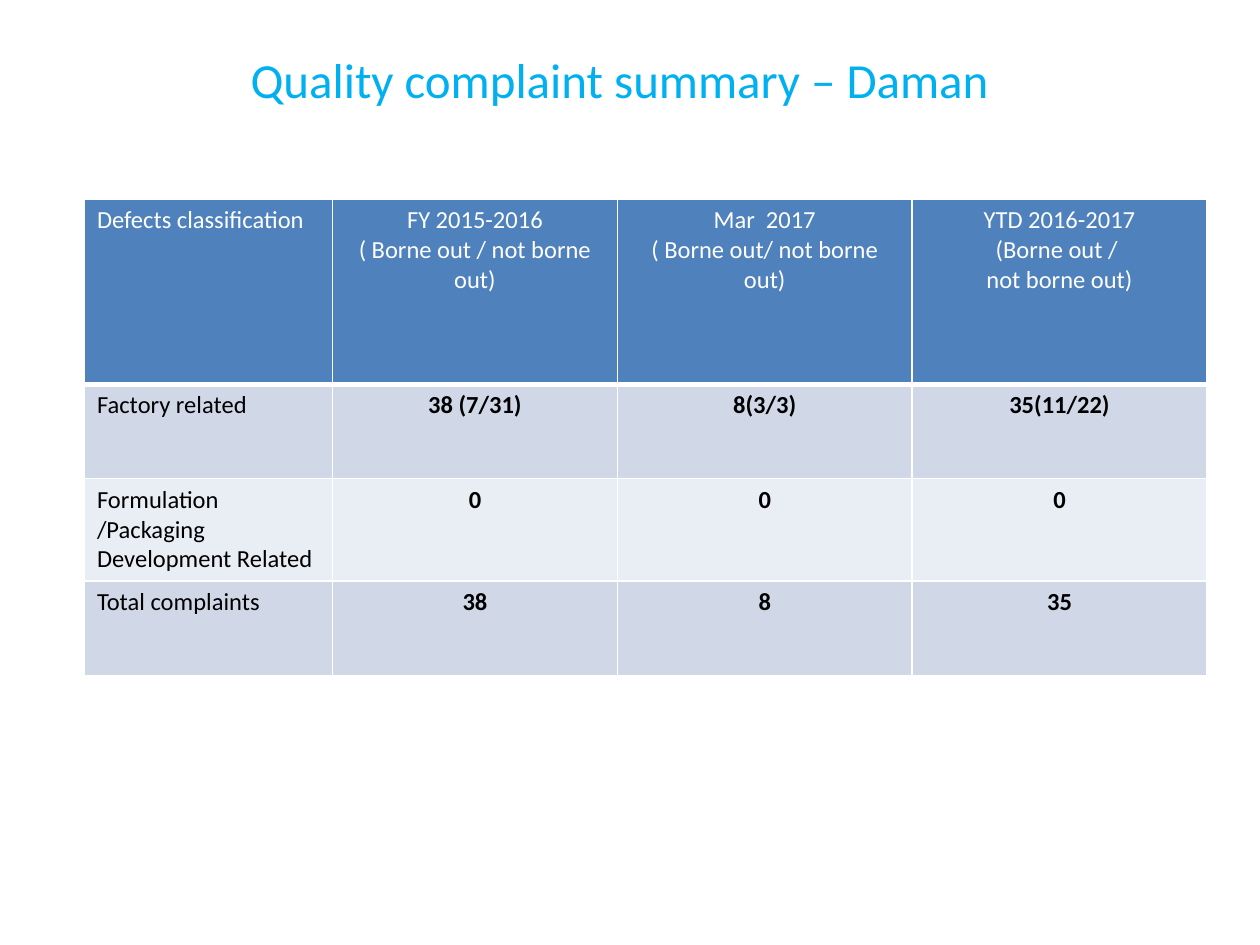
from lxml import etree
from pptx import Presentation, util as u
from pptx.dml.color import RGBColor
from pptx.enum import text
from pptx.oxml.ns import qn

FONT = "Calibri"
WHITE, BLACK, SKY, BLUE = "FFFFFF", "000000", "00B0F0", "4F81BD"
BANDS = ("D0D8E8", "E9EDF4")
WIDTHS = (1.97, 2.26, 2.34, 2.34)
HEIGHTS = (1.47, 0.75, 0.75, 0.75)
ROWS = (
    ("Defects classification",
     "FY 2015-2016\n( Borne out / not borne out)",
     "Mar  2017\n( Borne out/ not borne out)",
     "YTD 2016-2017\n(Borne out / \nnot borne out)"),
    ("Factory related", "38 (7/31)", "8(3/3)", "35(11/22)"),
    ("Formulation /Packaging \nDevelopment Related", "0", "0", "0"),
    ("Total complaints", "38", "8", "35"),
)


def paint(target, color):
    """Give a fill a solid colour."""
    target.solid()
    target.fore_color.rgb = RGBColor.from_string(color)


def write(frame, words, size, color, align, bold=False):
    """Write one paragraph for each line of words."""
    for i, line in enumerate(words.split("\n")):
        para = frame.add_paragraph() if i else frame.paragraphs[0]
        para.alignment = align
        run = para.add_run()
        run.text = line
        run.font.name = FONT
        run.font.size = u.Pt(size)
        run.font.bold = bold
        paint(run.font.fill, color)


def border(cell, base):
    """Draw white cell borders with the given bottom width."""
    props = cell._tc.get_or_add_tcPr()
    for i, side in enumerate("LRTB"):
        width = base if side == "B" else 1
        line = etree.Element(qn("a:ln" + side), w=str(u.Pt(width)))
        fill = etree.SubElement(line, qn("a:solidFill"))
        etree.SubElement(fill, qn("a:srgbClr"), val=WHITE)
        props.insert(i, line)


def add_title(slide, words):
    """Place and format the slide title."""
    title = slide.shapes.title
    title.left, title.top = u.Inches(0.5), u.Inches(0.25)
    title.width, title.height = u.Inches(8.92), u.Inches(0.75)
    title.text_frame.vertical_anchor = text.MSO_ANCHOR.MIDDLE
    write(title.text_frame, words, 28, SKY, text.PP_ALIGN.CENTER)


def add_grid(slide):
    """Add the table of complaints."""
    grid = slide.shapes.add_table(
        len(ROWS), len(WIDTHS), u.Inches(0.67), u.Inches(1.58),
        u.Inches(sum(WIDTHS)), u.Inches(sum(HEIGHTS))).table
    for col, width in zip(grid.columns, WIDTHS):
        col.width = u.Inches(width)
    for r, (row, height) in enumerate(zip(ROWS, HEIGHTS)):
        grid.rows[r].height = u.Inches(height)
        for c, words in enumerate(row):
            cell = grid.cell(r, c)
            paint(cell.fill, BANDS[(r - 1) % 2] if r else BLUE)
            border(cell, 1 if r else 3)
            align = text.PP_ALIGN.CENTER if c else text.PP_ALIGN.LEFT
            write(cell.text_frame, words, 14, BLACK if r else WHITE,
                  align, bool(r and c))


def main():
    """Build and save the slide."""
    deck = Presentation()
    deck.slide_width, deck.slide_height = u.Inches(10), u.Inches(7.5)
    slide = deck.slides.add_slide(deck.slide_layouts[5])
    paint(slide.background.fill, WHITE)
    add_title(slide, "Quality complaint summary – Daman ")
    add_grid(slide)
    deck.save("out.pptx")


main()
